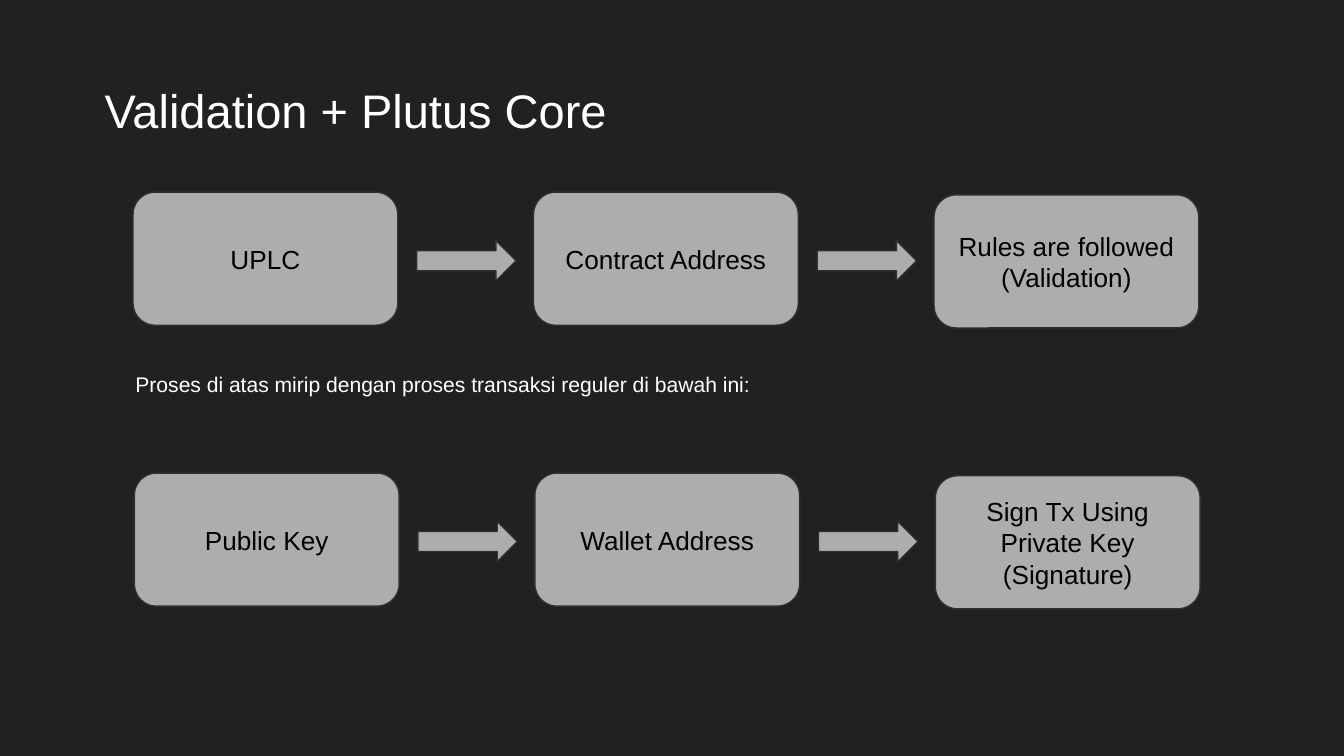
from pptx import Presentation
from pptx.dml.color import RGBColor
from pptx.enum.shapes import MSO_SHAPE
from pptx.enum.text import MSO_ANCHOR, PP_ALIGN
from pptx.util import Inches, Pt


def paint(color, hue):
    color.rgb = RGBColor.from_string(hue)


def write(shape, text, size, hue):
    frame = shape.text_frame
    frame.word_wrap = True
    frame.margin_left = frame.margin_right = Inches(0.1)
    frame.margin_top = frame.margin_bottom = Inches(0.1)
    frame.text = text
    for para in frame.paragraphs:
        para.font.name = "Arial"
        para.font.size = Pt(size)
        paint(para.font.color, hue)
    return frame


# Slide in 16:9
deck = Presentation()
deck.slide_width = Inches(10)
deck.slide_height = Inches(10 * 9 / 16)
slide = deck.slides.add_slide(deck.slide_layouts[6])
slide.background.fill.solid()
paint(slide.background.fill.fore_color, "212121")

# Title
title = slide.shapes.add_textbox(Inches(0.68), Inches(0.51), Inches(9.32), Inches(0.63))
write(title, "Validation + Plutus Core", 25.2, "FFFFFF")

# Note between the two flows
note = slide.shapes.add_textbox(Inches(0.91), Inches(2.74), Inches(7.93), Inches(0.53))
frame = write(note, "Proses di atas mirip dengan proses transaksi reguler di bawah ini:", 11.3, "FFFFFF")
frame.paragraphs[0].line_spacing = 0.75
frame.paragraphs[0].space_after = Pt(12)

# Flows: left, top and the three steps
flows = [
    (0.99, 1.43, ["UPLC", "Contract Address", "Rules are followed\n(Validation)"]),
    (1, 3.52, ["Public Key", "Wallet Address", "Sign Tx Using Private Key\n(Signature)"]),
]
pitch = 2.98
drops = [0, 0, 0.02]  # the last box sits slightly lower

for left, top, steps in flows:
    parts = []
    for i, (step, drop) in enumerate(zip(steps, drops)):
        x = left + i * pitch
        box = slide.shapes.add_shape(
            MSO_SHAPE.ROUNDED_RECTANGLE, Inches(x), Inches(top + drop), Inches(1.97), Inches(0.99))
        frame = write(box, step, 14, "000000")
        frame.vertical_anchor = MSO_ANCHOR.MIDDLE
        for para in frame.paragraphs:
            para.alignment = PP_ALIGN.CENTER
        parts.append(box)

        # Arrow to the next step
        if i < len(steps) - 1:
            parts.append(slide.shapes.add_shape(
                MSO_SHAPE.RIGHT_ARROW, Inches(x + 2.11), Inches(top + 0.36), Inches(0.74), Inches(0.3)))

    # Shared look of boxes and arrows
    for part in parts:
        part.shadow.inherit = False
        part.fill.solid()
        paint(part.fill.fore_color, "ADADAD")
        paint(part.line.color, "303030")
        part.line.width = Pt(0.75)

deck.save("out.pptx")
